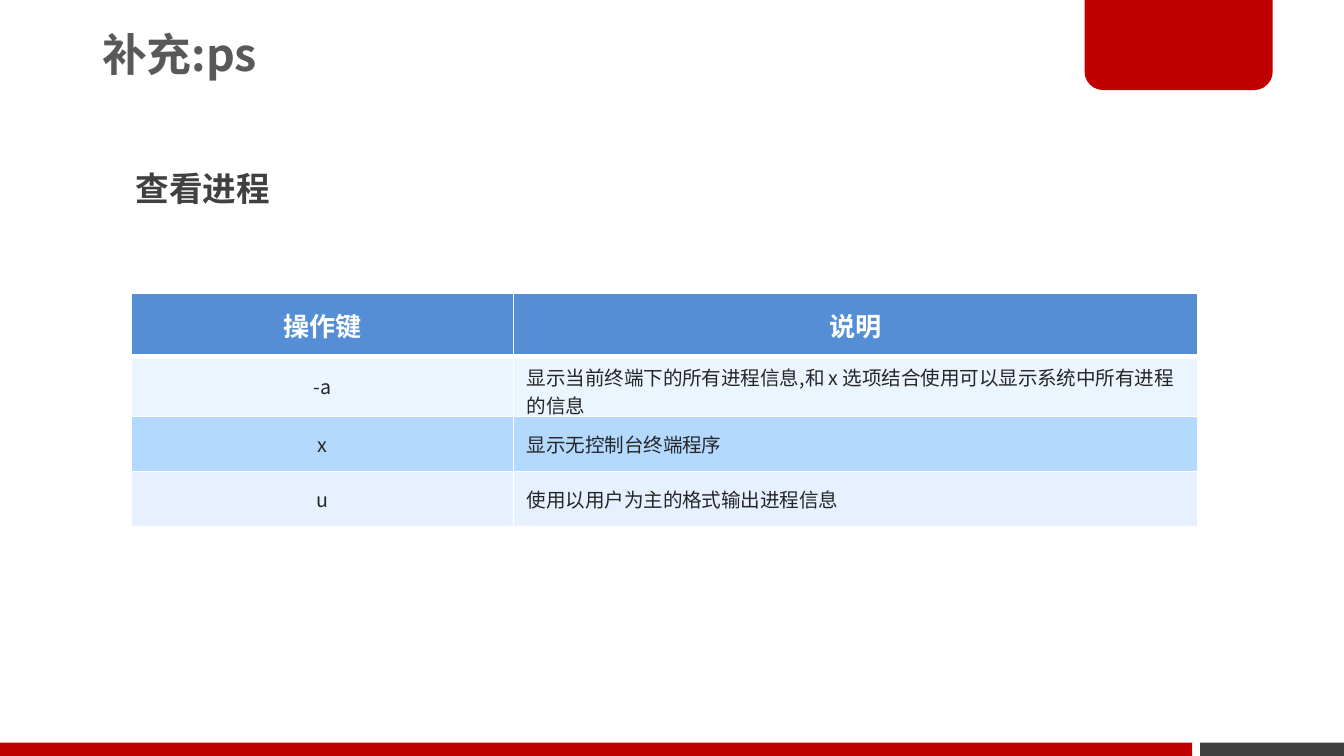
from lxml import etree
from pptx import Presentation
from pptx.dml.color import RGBColor
from pptx.enum import shapes, text
from pptx.oxml import ns
from pptx.util import Inches, Pt

PAGE_WIDTH = 10
PAGE_HEIGHT = PAGE_WIDTH * 9 / 16
FONT = "Noto Sans CJK SC"
WHITE = RGBColor(0xFF, 0xFF, 0xFF)
RED = RGBColor(0xC0, 0x00, 0x00)
DARK = RGBColor(0x40, 0x40, 0x40)
GREY = RGBColor(0x59, 0x59, 0x59)
INK = RGBColor(0x26, 0x26, 0x26)
HEADER = RGBColor(0x55, 0x8E, 0xD5)
ROW_FILLS = [HEADER, RGBColor(0xEB, 0xF5, 0xFF),
             RGBColor(0xB3, 0xD9, 0xFF), RGBColor(0xE6, 0xF0, 0xFF)]
ROWS = [
    ("操作键", "说明"),
    ("-a", "显示当前终端下的所有进程信息,和 x 选项结合使用可以显示系统中所有进程的信息"),
    ("x", "显示无控制台终端程序"),
    ("u", "使用以用户为主的格式输出进程信息"),
]
COLUMN_WIDTHS = [2.84, 5.09]
ROW_HEIGHTS = [0.47, 0.45, 0.41, 0.41]


def add_span(para, wording, size, color, bold=False):
    span = para.add_run()
    span.text = wording
    span.font.name = FONT
    span.font.size = Pt(size)
    span.font.bold = bold
    span.font.color.rgb = color
    east_asian = etree.SubElement(span.font._element, ns.qn("a:ea"))
    east_asian.set("typeface", FONT)


def add_block(page, kind, box, color):
    block = page.shapes.add_shape(kind, *map(Inches, box))
    block.shadow.inherit = False
    block.fill.solid()
    block.fill.fore_color.rgb = color
    block.line.fill.background()
    return block


def add_frame(page, box):
    left, top, width, height = box
    kinds = shapes.MSO_SHAPE
    gray_width, gap, bar = 1.07, 0.06, 0.1
    bar_top = top + height - bar
    red_width = width - gray_width - gap
    add_block(page, kinds.RECTANGLE,
              (left + width - gray_width, bar_top, gray_width, bar), DARK)
    tab = add_block(page, kinds.ROUND_2_SAME_RECTANGLE,
                    (left + 8.07, top - 0.02, 1.4, 0.69), RED)
    tab.adjustments[0] = 0
    tab.adjustments[1] = 0.2
    add_block(page, kinds.RECTANGLE, (left, bar_top, red_width, bar), RED)


def add_heading(page, box, wording, size, color, spacing, anchor, insets):
    heading = page.shapes.add_textbox(*map(Inches, box))
    frame = heading.text_frame
    frame.word_wrap = True
    frame.vertical_anchor = anchor
    frame.margin_left = frame.margin_right = Inches(insets[0])
    frame.margin_top = frame.margin_bottom = Inches(insets[1])
    para = frame.paragraphs[0]
    para.line_spacing = spacing
    add_span(para, wording, size, color, True)


def add_borders(cell, widths):
    properties = cell._tc.get_or_add_tcPr()
    for index, (side, width) in enumerate(zip("LRTB", widths)):
        line = etree.Element(ns.qn(f"a:ln{side}"), w=str(Pt(width)))
        fill = etree.SubElement(line, ns.qn("a:solidFill"))
        etree.SubElement(fill, ns.qn("a:srgbClr"), val=str(WHITE))
        properties.insert(index, line)


def fill_cell(cell, wording, row, column):
    is_header = row == 0
    cell.fill.solid()
    cell.fill.fore_color.rgb = ROW_FILLS[row]
    add_borders(cell, (1, 1, 3 if row == 1 else 1, 3 if is_header else 1))
    para = cell.text_frame.paragraphs[0]
    if is_header or column == 0:
        para.alignment = text.PP_ALIGN.CENTER
    if is_header:
        para.line_spacing = Pt(24)
        add_span(para, wording, 14, WHITE, True)
    else:
        cell.vertical_anchor = text.MSO_ANCHOR.MIDDLE
        add_span(para, wording, 10.5, INK)


def add_options_table(page, left, top):
    box = (left, top, sum(COLUMN_WIDTHS), sum(ROW_HEIGHTS))
    table = page.shapes.add_table(len(ROWS), len(COLUMN_WIDTHS),
                                  *map(Inches, box)).table
    for column, width in zip(table.columns, COLUMN_WIDTHS):
        column.width = Inches(width)
    for row, height in zip(table.rows, ROW_HEIGHTS):
        row.height = Inches(height)
    for row, wordings in enumerate(ROWS):
        for column, wording in enumerate(wordings):
            fill_cell(table.cell(row, column), wording, row, column)


def main():
    deck = Presentation()
    deck.slide_width, deck.slide_height = Inches(PAGE_WIDTH), Inches(PAGE_HEIGHT)
    page = deck.slides.add_slide(deck.slide_layouts[6])
    add_frame(page, (0, 0, PAGE_WIDTH, PAGE_HEIGHT))
    add_heading(page, (0.69, -0.02, 5.89, 0.89), "补充:ps", 24, GREY, 0.9,
                text.MSO_ANCHOR.MIDDLE, (0.07, 0.04))
    add_heading(page, (0.91, 1.05, 3.84, 0.55), "查看进程", 18, DARK, 1.5,
                text.MSO_ANCHOR.TOP, (0.1, 0.05))
    add_options_table(page, 0.98, 2.18)
    deck.save("out.pptx")


if __name__ == "__main__":
    main()
